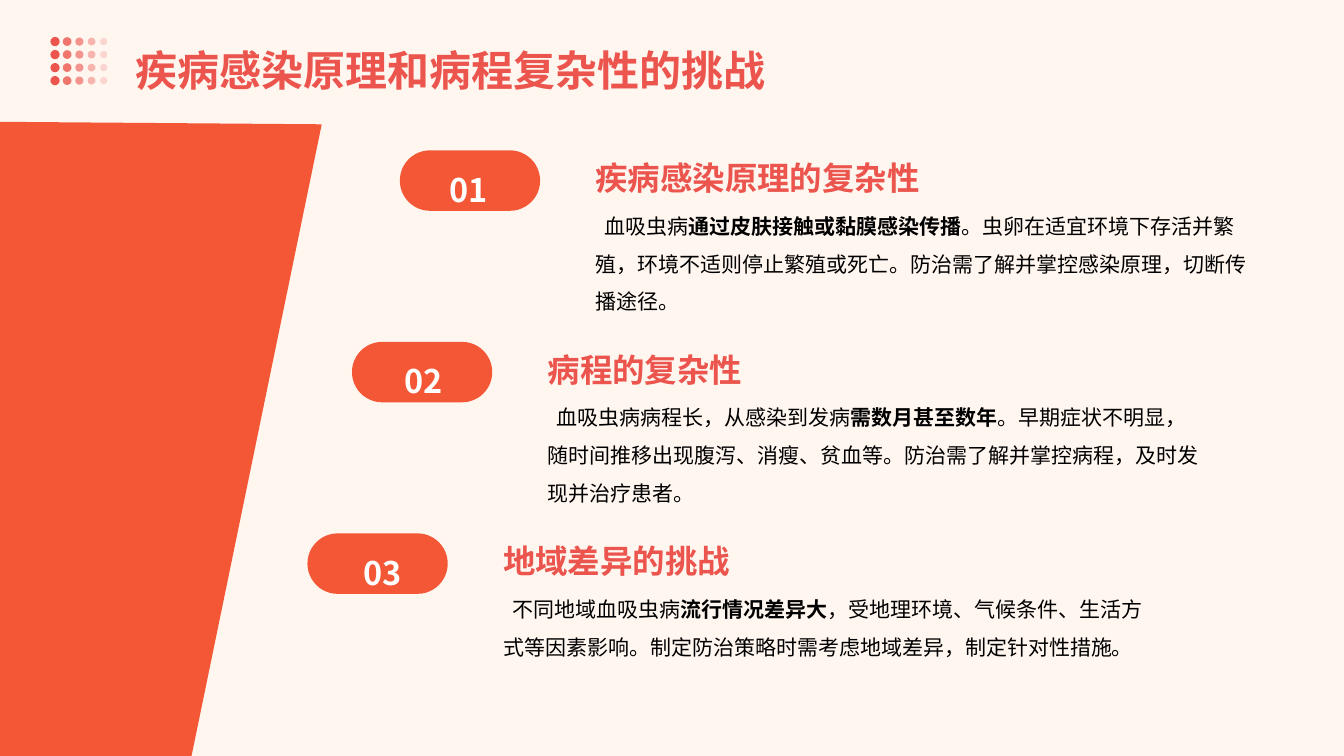
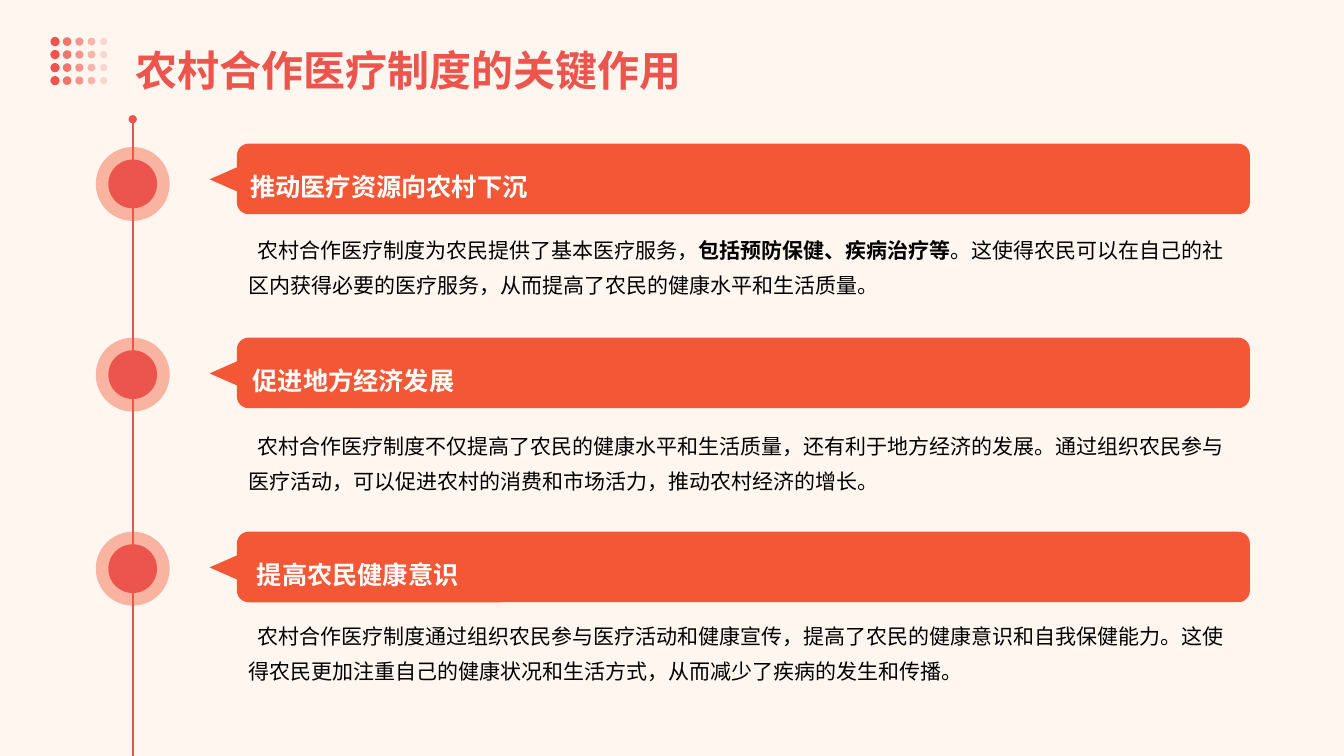
from lxml import etree
from pptx import Presentation
from pptx.dml.color import RGBColor
from pptx.enum.shapes import MSO_CONNECTOR, MSO_SHAPE
from pptx.enum.text import MSO_ANCHOR, PP_ALIGN
from pptx.oxml.ns import qn
from pptx.util import Emu, Pt

ELLIPSE = MSO_SHAPE.OVAL
ROUNDED = MSO_SHAPE.ROUNDED_RECTANGLE
TRIANGLE = MSO_SHAPE.ISOSCELES_TRIANGLE
STRAIGHT = MSO_CONNECTOR.STRAIGHT
LEFT, CENTER = PP_ALIGN.LEFT, PP_ALIGN.CENTER
TOP, MIDDLE = MSO_ANCHOR.TOP, MSO_ANCHOR.MIDDLE

CELL = 76200
COLUMNS, ROWS = 160, 90
FONT = "Noto Sans CJK SC"
COLORS = {
    "background": "FFF6F0",
    "accent": "F35735",
    "title": "EB554D",
    "text": "000000",
    "white": "FFFFFF",
}
PADDED = (1.7, 1.7, 0.7, 1.7)
FLUSH = (0, 0, 0, 0)
FIRST_LINE_INDENT = 1.1

CHALLENGES = [
    (47.6, 0.4, "疾病感染原理的复杂性",
     "血吸虫病*通过皮肤接触或黏膜感染传播*。虫卵在适宜环境下存活并繁殖，"
     "环境不适则停止繁殖或死亡。防治需了解并掌控感染原理，切断传播途径。"),
    (41.9, 0.7, "病程的复杂性",
     "血吸虫病病程长，从感染到发病*需数月甚至数年*。早期症状不明显，"
     "随时间推移出现腹泻、消瘦、贫血等。防治需了解并掌控病程，及时发现并治疗患者。"),
    (36.6, 1.2, "地域差异的挑战",
     "不同地域血吸虫病*流行情况差异大*，受地理环境、气候条件、生活方式等因素影响。"
     "制定防治策略时需考虑地域差异，制定针对性措施。"),
]
ROLES = [
    (21.9, 29.8, 27.1, "推动医疗资源向农村下沉",
     "农村合作医疗制度为农民提供了基本医疗服务，*包括预防保健、疾病治疗等*。"
     "这使得农民可以在自己的社区内获得必要的医疗服务，从而提高了农民的健康水平和生活质量。"),
    (44.6, 30.1, 50.4, "促进地方经济发展",
     "农村合作医疗制度不仅提高了农民的健康水平和生活质量，还有利于地方经济的发展。"
     "通过组织农民参与医疗活动，可以促进农村的消费和市场活力，推动农村经济的增长。"),
    (67.7, 30.6, 73, "提高农民健康意识",
     "农村合作医疗制度通过组织农民参与医疗活动和健康宣传，提高了农民的健康意识和自我保健能力。"
     "这使得农民更加注重自己的健康状况和生活方式，从而减少了疾病的发生和传播。"),
]


def grid(*cells):
    """Convert grid cells to slide lengths."""
    return [Emu(round(cell * CELL)) for cell in cells]


def color(name):
    """Return a palette colour."""
    return RGBColor.from_string(COLORS[name])


def paint(shape, fill, opacity=100):
    """Give a shape a flat fill without line or shadow."""
    shape.shadow.inherit = False
    shape.fill.solid()
    shape.fill.fore_color.rgb = color(fill)
    shape.line.fill.background()
    if opacity < 100:
        tone = shape.element.spPr.find(qn("a:solidFill")).find(qn("a:srgbClr"))
        etree.SubElement(tone, qn("a:alpha")).set("val", str(opacity * 1000))


def add_block(parent, kind, box, fill, opacity=100):
    """Add a painted preset shape at left, top, width, height in cells."""
    shape = parent.shapes.add_shape(kind, *grid(*box))
    paint(shape, fill, opacity)
    return shape


def add_circle(parent, x, y, size, fill, opacity=100):
    """Add a circle around a centre."""
    add_block(parent, ELLIPSE, (x - size / 2, y - size / 2, size, size), fill, opacity)


def add_text(slide, text, box, size=15, fill="text", bold=False, spacing=1.5,
             align=LEFT, anchor=TOP, insets=PADDED, indent=0):
    """Add a paragraph whose parts between asterisks are bold."""
    frame = slide.shapes.add_textbox(*grid(*box)).text_frame
    frame.word_wrap = True
    frame.vertical_anchor = anchor
    (frame.margin_left, frame.margin_top,
     frame.margin_right, frame.margin_bottom) = grid(*insets)
    paragraph = frame.paragraphs[0]
    paragraph.alignment = align
    paragraph.line_spacing = spacing
    if indent:
        properties = paragraph._p.get_or_add_pPr()
        properties.set("marL", "0")
        properties.set("indent", str(grid(indent)[0]))
    for index, part in enumerate(text.split("*")):
        run = paragraph.add_run()
        run.text = part
        run.font.size = Pt(size)
        run.font.bold = bold or index % 2 == 1
        run.font.color.rgb = color(fill)
        run.font.name = FONT
        etree.SubElement(run.font._element, qn("a:ea")).set("typeface", FONT)


def add_dots(slide):
    """Add the fading grid of dots beside the title."""
    group = slide.shapes.add_group_shape()
    for row in range(4):
        for column in range(5):
            add_circle(group, 6.55 + 1.45 * column, 4.95 + 1.55 * row,
                       1.1 - 0.06 * column, "title", 100 - 20 * column)


def add_titled_slide(presentation, title):
    """Add a blank slide with the shared background, dots and title."""
    slide = presentation.slides.add_slide(presentation.slide_layouts[6])
    slide.background.fill.solid()
    slide.background.fill.fore_color.rgb = color("background")
    add_dots(slide)
    add_text(slide, title, (14.4, 1.2, 131.3, 12), size=30, fill="title",
             bold=True, spacing=1.4)
    return slide


def add_panel(slide):
    """Add the slanted panel on the left edge."""
    corners = [grid(*corner) for corner in
               ((0, 14.5), (38.3, 14.8), (22.8, ROWS), (0, ROWS))]
    builder = slide.shapes.build_freeform(*corners[0], scale=1.0)
    builder.add_line_segments(corners[1:], close=True)
    paint(builder.convert_to_shape(), "accent")


def add_challenge(slide, index, left, number_shift, heading, body):
    """Add a numbered pill with its heading and body."""
    top = 17.9 + 22.8 * index
    text_left = left + 21.6
    pill = add_block(slide, ROUNDED, (left, top, 16.7, 7.2), "accent")
    pill.adjustments[0] = 0.5
    add_text(slide, f"{index + 1:02}", (left + number_shift, top - 1.7, 14.6, 10.4),
             size=23.2, fill="white", bold=True, align=CENTER)
    add_text(slide, heading, (text_left, top - 2.6, 82.6, 10),
             size=23.2, fill="title", bold=True, spacing=1.4)
    add_text(slide, body, (text_left, top + 4.3, 80.4, 16.3),
             indent=FIRST_LINE_INDENT)


def add_timeline(slide, x):
    """Add the vertical line that starts with a round end."""
    connector = slide.shapes.add_connector(STRAIGHT, *grid(x, 14.2, x, ROWS))
    connector.line.color.rgb = color("title")
    connector.line.width = Pt(1.5)
    properties = connector._element.spPr
    head = etree.SubElement(properties.find(qn("a:ln")), qn("a:headEnd"))
    head.set("type", "oval")
    etree.SubElement(properties, qn("a:effectLst"))


def add_role(slide, index, x, node_y, label_left, body_top, label, body):
    """Add a timeline node with its banner and body."""
    top, height = 17.1 + 23.1 * index, 8.4
    add_circle(slide, x, node_y, 8.8, "accent", 42)
    add_circle(slide, x, node_y, 5.8, "title")
    add_block(slide, ROUNDED, (28.2, top, 120.6, height), "accent")
    pointer = add_block(slide, TRIANGLE, (25.2, top + 2.2, 3.6, 4.1), "accent")
    pointer.rotation = 270
    add_text(slide, label, (label_left, top, 115, height), size=18, fill="white",
             bold=True, anchor=MIDDLE, insets=FLUSH)
    add_text(slide, body, (29.6, body_top, 117.7, 10.1), spacing=1.4,
             insets=FLUSH, indent=FIRST_LINE_INDENT)


def main():
    """Build and save both slides."""
    presentation = Presentation()
    presentation.slide_width, presentation.slide_height = grid(COLUMNS, ROWS)

    slide = add_titled_slide(presentation, "疾病感染原理和病程复杂性的挑战")
    add_panel(slide)
    for index, challenge in enumerate(CHALLENGES):
        add_challenge(slide, index, *challenge)

    slide = add_titled_slide(presentation, "农村合作医疗制度的关键作用")
    timeline_x = 15.8
    add_timeline(slide, timeline_x)
    for index, role in enumerate(ROLES):
        add_role(slide, index, timeline_x, *role)

    presentation.save("out.pptx")


if __name__ == "__main__":
    main()
